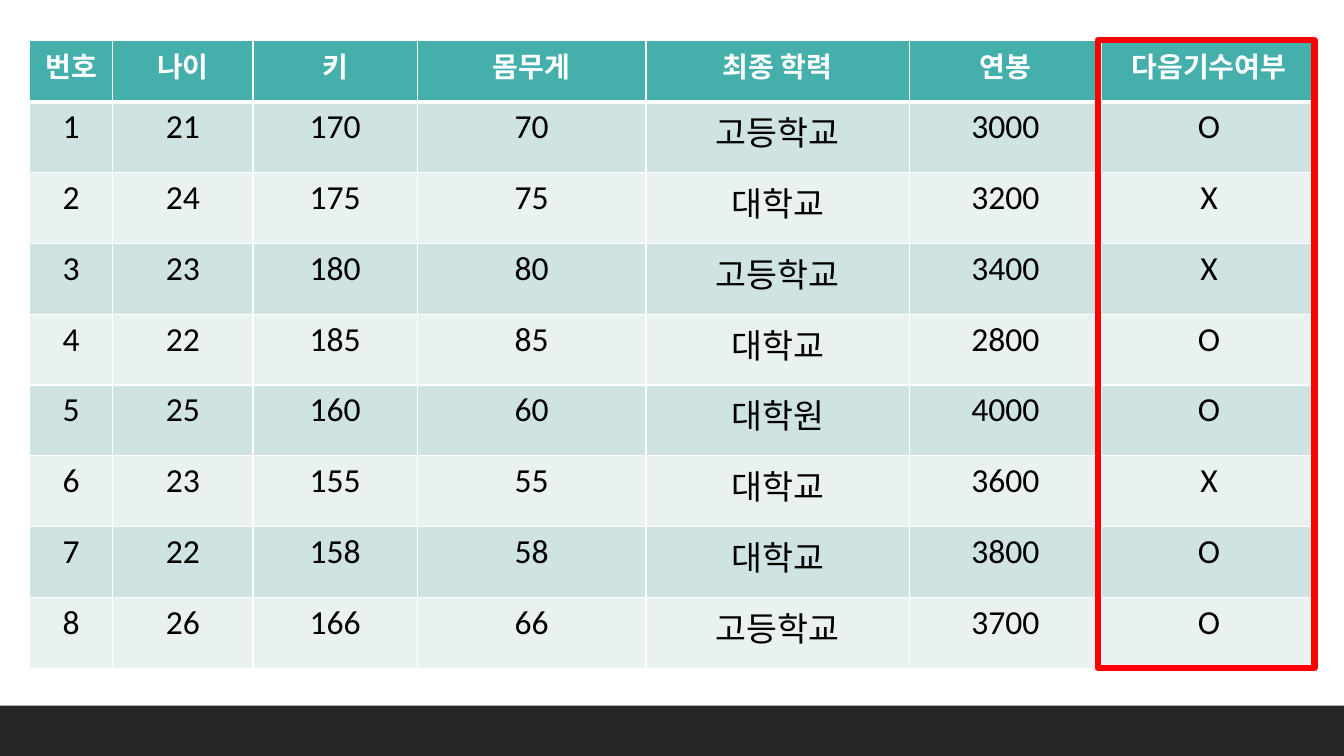
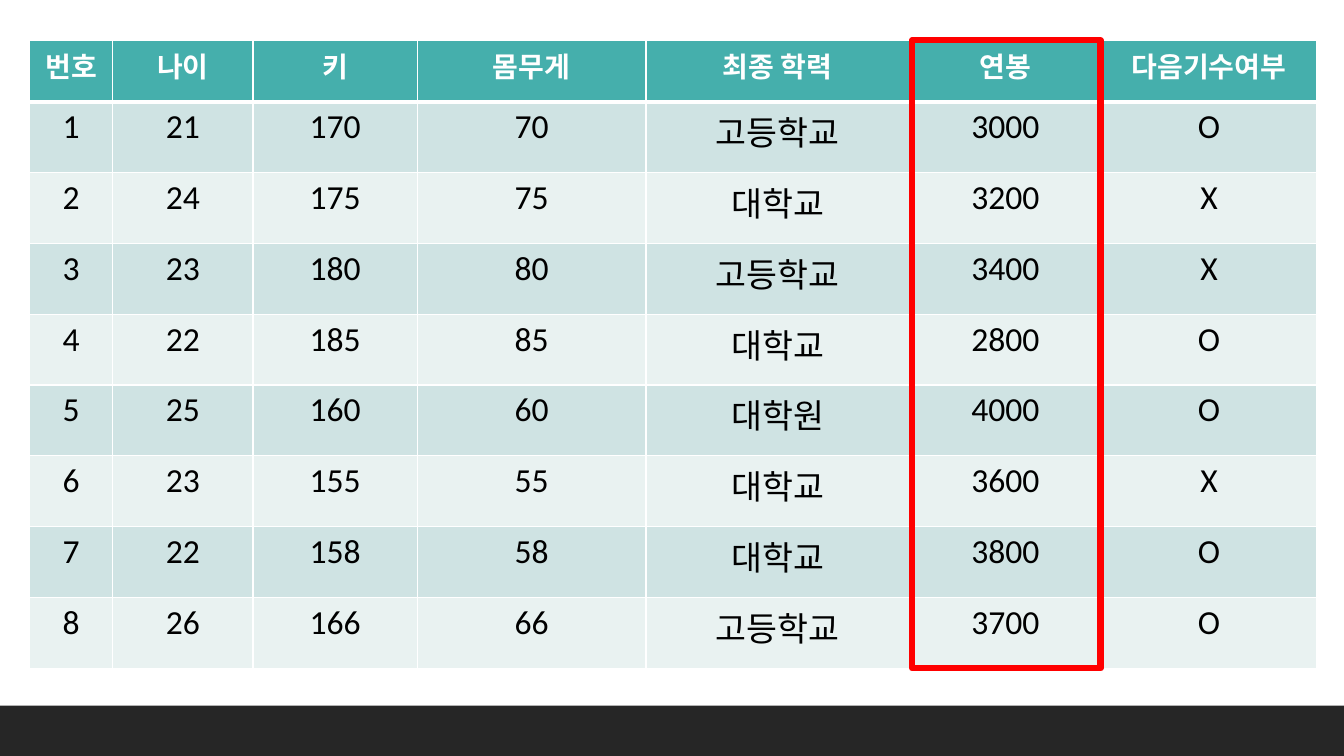
from dataclasses import dataclass
from itertools import accumulate

from lxml.etree import SubElement
from pptx import Presentation
from pptx.dml.color import RGBColor as RGB
from pptx.enum.shapes import MSO_SHAPE as Shape
from pptx.enum.text import PP_ALIGN as Align
from pptx.oxml.ns import qn
from pptx.util import Emu, Pt

# Content
HEADER = ("번호", "나이", "키", "몸무게", "최종 학력", "연봉", "다음기수여부")
PEOPLE = [
    (1, 21, 170, 70, "고등학교", 3000, "O"),
    (2, 24, 175, 75, "대학교", 3200, "X"),
    (3, 23, 180, 80, "고등학교", 3400, "X"),
    (4, 22, 185, 85, "대학교", 2800, "O"),
    (5, 25, 160, 60, "대학원", 4000, "O"),
    (6, 23, 155, 55, "대학교", 3600, "X"),
    (7, 22, 158, 58, "대학교", 3800, "O"),
    (8, 26, 166, 66, "고등학교", 3700, "O"),
]
# One slide per highlighted column: name, left and right offset from its edges
HIGHLIGHTS = [("다음기수여부", -4, -2), ("연봉", 3, -1)]

# Layout in px, 100 to the inch
PX = 9144
SLIDE_HEIGHT = 750
BAND_HEIGHT = 50
TABLE_LEFT, TABLE_TOP, TABLE_HEIGHT = 29, 40, 623
HEADER_HEIGHT = 61
COLUMN_WIDTHS = (83, 139, 163, 227, 261, 191, 213)
COLUMN_EDGES = list(accumulate(COLUMN_WIDTHS, initial=TABLE_LEFT))


@dataclass(frozen=True)
class Theme:
    font: str = "Calibri"
    header_size: int = 20
    body_size: int = 24
    header_fill: str = "45AFAC"
    stripes: tuple = ("CFE3E3", "E9F2F1")
    white: str = "FFFFFF"
    black: str = "000000"
    band: str = "262626"
    frame: str = "FF0000"
    frame_width: float = 4.5
    grid_width: int = 1
    rule_width: int = 3


THEME = Theme()


def px(length):
    return Emu(round(length * PX))


def paint(fill, color):
    fill.solid()
    fill.fore_color.rgb = RGB.from_string(color)


def add_rectangle(slide, left, top, width, height):
    box = slide.shapes.add_shape(
        Shape.RECTANGLE, px(left), px(top), px(width), px(height))
    box.shadow.inherit = False
    return box


def add_master_band(deck, slide):
    """Draw the footer band and move it to the shared slide master."""
    band = add_rectangle(slide, 0, SLIDE_HEIGHT - BAND_HEIGHT, 0, BAND_HEIGHT)
    band.width = deck.slide_width
    paint(band.fill, THEME.band)
    band.line.fill.background()
    band.element.nvSpPr.cNvPr.set("id", "20")
    deck.slide_master.shapes.element.insert(2, band.element)


def set_borders(cell, top, bottom):
    properties = cell._tc.get_or_add_tcPr()
    grid = THEME.grid_width
    for side, width in (("L", grid), ("R", grid), ("T", top), ("B", bottom)):
        line = SubElement(properties, qn(f"a:ln{side}"), w=str(Pt(width)))
        fill = SubElement(line, qn("a:solidFill"))
        SubElement(fill, qn("a:srgbClr"), val=THEME.white)


def fill_cell(cell, value, row):
    is_header = row == 0
    rule, grid = THEME.rule_width, THEME.grid_width
    set_borders(cell, top=rule if row == 1 else grid,
                bottom=rule if is_header else grid)
    paint(cell.fill, THEME.header_fill if is_header
          else THEME.stripes[(row - 1) % 2])
    para = cell.text_frame.paragraphs[0]
    para.text = str(value)
    para.alignment = Align.CENTER
    font = para.font
    font.name = THEME.font
    font.size = Pt(THEME.header_size if is_header else THEME.body_size)
    font.bold = is_header
    font.color.rgb = RGB.from_string(THEME.white if is_header else THEME.black)


def add_people_table(slide):
    rows = [HEADER, *PEOPLE]
    table = slide.shapes.add_table(
        len(rows), len(HEADER), px(TABLE_LEFT), px(TABLE_TOP),
        px(sum(COLUMN_WIDTHS)), px(TABLE_HEIGHT)).table
    table.horz_banding = False
    for column, width in zip(table.columns, COLUMN_WIDTHS):
        column.width = px(width)
    body_height = (TABLE_HEIGHT - HEADER_HEIGHT) / len(PEOPLE)
    for row, values in enumerate(rows):
        table.rows[row].height = px(body_height if row else HEADER_HEIGHT)
        for column, value in enumerate(values):
            fill_cell(table.cell(row, column), value, row)


def add_highlight(slide, name, left_offset, right_offset):
    column = HEADER.index(name)
    left = COLUMN_EDGES[column] + left_offset
    right = COLUMN_EDGES[column + 1] + right_offset
    frame = add_rectangle(slide, left, TABLE_TOP, right - left, TABLE_HEIGHT)
    frame.fill.background()
    frame.line.color.rgb = RGB.from_string(THEME.frame)
    frame.line.width = Pt(THEME.frame_width)


def main():
    deck = Presentation()
    deck.slide_height = px(SLIDE_HEIGHT)
    deck.slide_width = Emu(deck.slide_height * 16 // 9)
    blank = deck.slide_layouts.get_by_name("Blank")
    slides = [deck.slides.add_slide(blank) for _ in HIGHLIGHTS]
    add_master_band(deck, slides[0])
    for slide, highlight in zip(slides, HIGHLIGHTS):
        add_people_table(slide)
        add_highlight(slide, *highlight)
    deck.save("out.pptx")


if __name__ == "__main__":
    main()
